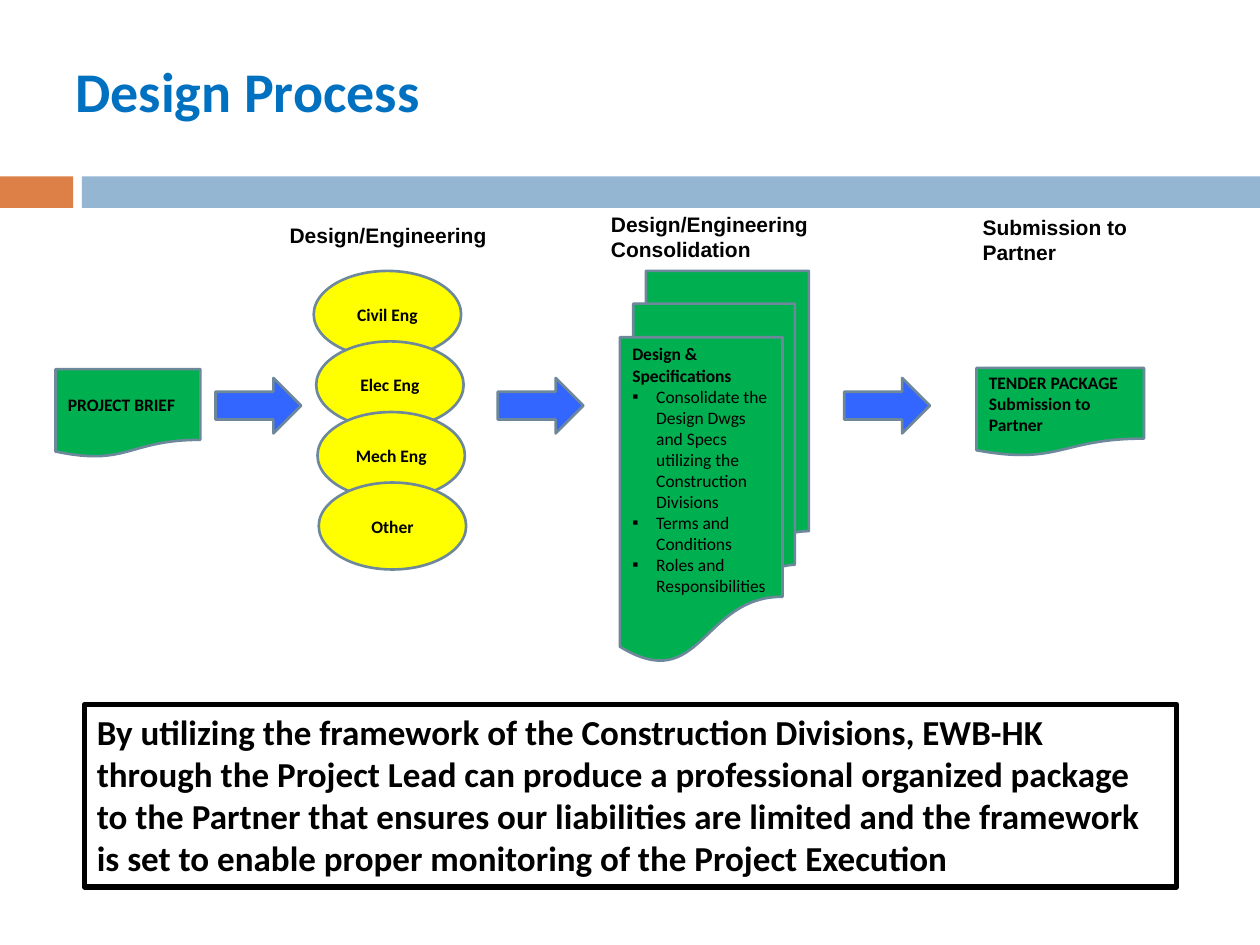
"""Build the Design Process flow slide."""
from lxml import etree
from pptx import Presentation
from pptx.dml.color import RGBColor
from pptx.enum.shapes import MSO_SHAPE
from pptx.enum.text import MSO_ANCHOR, PP_ALIGN
from pptx.oxml.ns import qn
from pptx.util import Inches, Pt

RECT, OVAL, ARROW = MSO_SHAPE.RECTANGLE, MSO_SHAPE.OVAL, MSO_SHAPE.RIGHT_ARROW
DOC, MULTIDOC = MSO_SHAPE.FLOWCHART_DOCUMENT, MSO_SHAPE.FLOWCHART_MULTIDOCUMENT
TOP, MIDDLE, BOTTOM = MSO_ANCHOR.TOP, MSO_ANCHOR.MIDDLE, MSO_ANCHOR.BOTTOM
LEFT, CENTER = PP_ALIGN.LEFT, PP_ALIGN.CENTER

THEME = {
    "text": "000000", "title": "0070C0", "outline": "6D879B",
    "accent": "DD8047", "band": "94B6D2",
    "document": "00B050", "discipline": "FFFF00", "arrow": "3366FF",
    "font": "Calibri", "heading_font": "Arial",
    "title_size": 32, "summary_size": 20, "heading_size": 12, "label_size": 10,
    "line": 1.5, "summary_line": 3,
}

TITLE = "Design Process"
BANDS = [("accent", 0, 0.58), ("band", 0.65, 9.35)]
HEADINGS = [
    (["Design/Engineering"], (2.2, 1.72, 1.82, 0.3)),
    (["Design/Engineering", "Consolidation"], (4.75, 1.63, 1.82, 0.5)),
    (["Submission to Partner"], (7.7, 1.65, 1.5, 0.5)),
]
DISCIPLINES = [("Civil Eng", 2.49), ("Elec Eng", 2.51), ("Mech Eng", 2.52), ("Other", 2.53)]
DISCIPLINE_TOP, DISCIPLINE_STEP = 2.15, 0.56
ARROW_LEFTS = [1.71, 3.95, 6.7]
BRIEF = ["PROJECT BRIEF"]
TENDER = ["TENDER PACKAGE", "Submission to Partner"]
SPEC_HEADING = "Design & Specifications"
SPEC_ITEMS = [
    "Consolidate the Design Dwgs and Specs utilizing the Construction Divisions",
    "Terms and Conditions",
    "Roles and Responsibilities",
]
SUMMARY = (
    "By utilizing the framework of the Construction Divisions, EWB-HK through the "
    "Project Lead can produce a professional organized package to the Partner that "
    "ensures our liabilities are limited and the framework is set to enable proper "
    "monitoring of the Project Execution"
)


def color(name):
    """Return a theme colour."""
    return RGBColor.from_string(THEME[name])


def add_shape(slide, kind, box, fill=None, line="outline", width=THEME["line"]):
    """Add a preset shape with flat fill and line."""
    sp = slide.shapes.add_shape(kind, *map(Inches, box))
    sp.shadow.inherit = False
    if fill:
        sp.fill.solid()
        sp.fill.fore_color.rgb = color(fill)
    else:
        sp.fill.background()
    if line:
        sp.line.color.rgb = color(line)
        sp.line.width = Pt(width)
    else:
        sp.line.fill.background()
    return sp


def write(sp, lines, size="label_size", font="font", ink="text", anchor=MIDDLE, align=LEFT):
    """Write bold paragraphs into a shape and return them."""
    tf = sp.text_frame
    tf.word_wrap = True
    tf.vertical_anchor = anchor
    tf.text = "\n".join(lines)
    for p in tf.paragraphs:
        p.alignment = align
        p.font.name = THEME[font]
        p.font.size = Pt(THEME[size])
        p.font.bold = True
        p.font.color.rgb = color(ink)
    return tf.paragraphs


def add_text(slide, box, lines, **style):
    """Add a wrapped text box."""
    write(slide.shapes.add_textbox(*map(Inches, box)), lines, **style)


def add_bullet(p, indent=0.19):
    """Give a paragraph a square bullet with a hanging indent."""
    pPr = p._p.get_or_add_pPr()
    pPr.set("marL", str(Inches(indent)))
    pPr.set("indent", str(-Inches(indent)))
    bullet = etree.Element(qn("a:buChar"), char="▪")
    font = etree.Element(qn("a:buFont"), typeface=THEME["heading_font"])
    pPr.insert(0, bullet)
    pPr.insert(0, font)


def main():
    """Compose and save the slide."""
    prs = Presentation()
    prs.slide_width, prs.slide_height = Inches(10), Inches(7.5)
    s = prs.slides.add_slide(prs.slide_layouts[6])

    for fill, left, width in BANDS:
        add_shape(s, RECT, (left, 1.4, width, 0.25), fill, line=None)
    add_text(s, (0.5, 0.26, 7.19, 0.77), [TITLE], size="title_size", ink="title", anchor=BOTTOM)
    summary = add_shape(s, RECT, (0.67, 5.59, 8.67, 1.45), line="text",
                        width=THEME["summary_line"])
    write(summary, [SUMMARY], size="summary_size", anchor=TOP)

    specs = add_shape(s, MULTIDOC, (4.92, 2.15, 1.5, 3.1), "document")
    for p in write(specs, [SPEC_HEADING, *SPEC_ITEMS], anchor=TOP)[1:]:
        add_bullet(p)
        p.font.bold = False
    write(add_shape(s, DOC, (7.75, 2.92, 1.33, 0.7), "document"), TENDER)
    write(add_shape(s, DOC, (0.44, 2.93, 1.15, 0.7), "document"), BRIEF)

    for i, (name, left) in enumerate(DISCIPLINES):
        top = DISCIPLINE_TOP + i * DISCIPLINE_STEP
        oval = add_shape(s, OVAL, (left, top, 1.17, 0.69), "discipline")
        write(oval, [name], align=CENTER)
    for left in ARROW_LEFTS:
        add_shape(s, ARROW, (left, 3, 0.68, 0.44), "arrow")
    for lines, box in HEADINGS:
        add_text(s, box, lines, size="heading_size", font="heading_font", anchor=TOP)

    prs.save("out.pptx")


if __name__ == "__main__":
    main()
